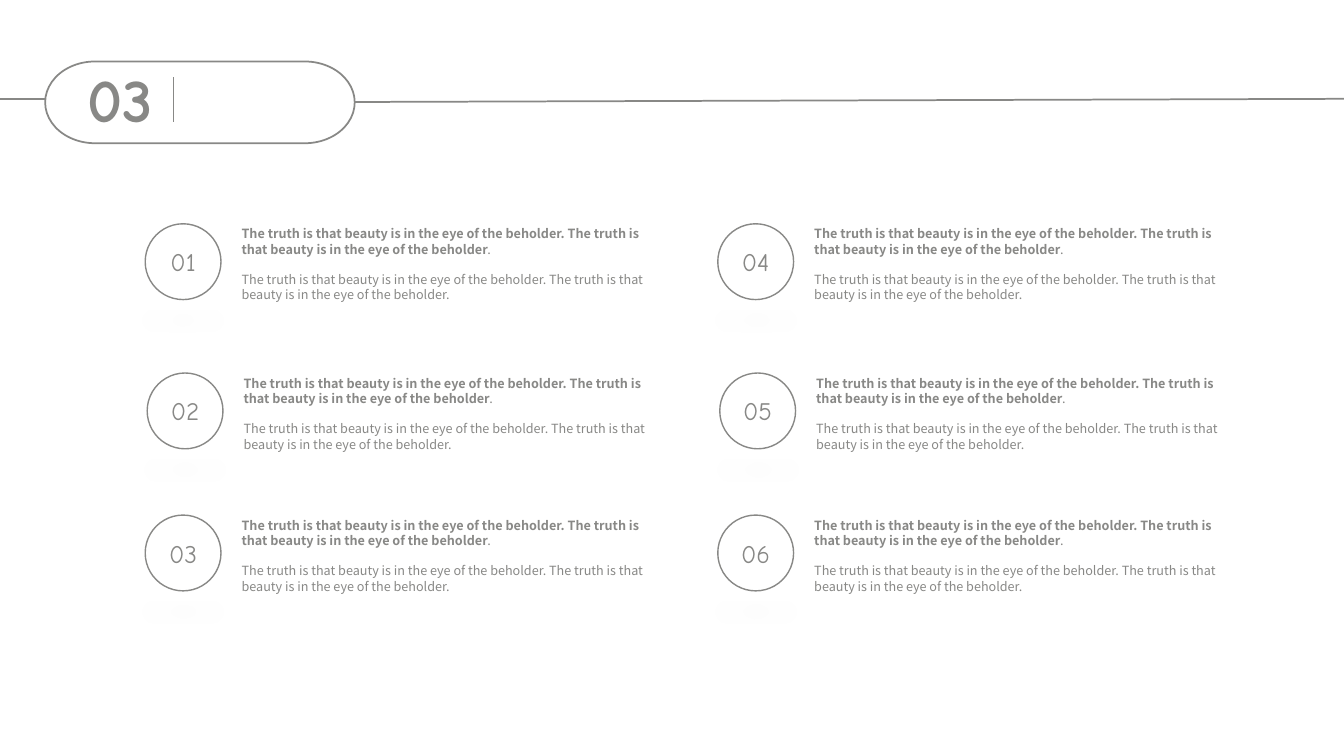
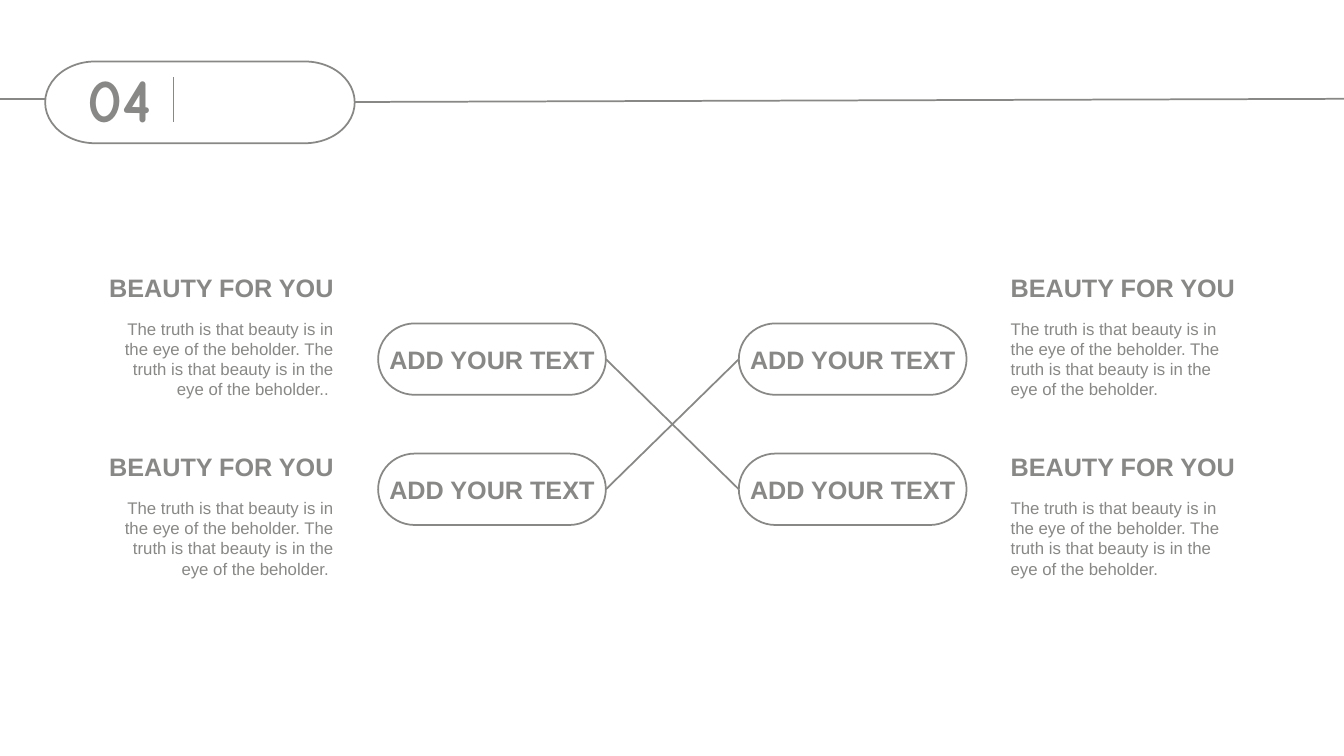
from dataclasses import dataclass

from lxml import etree
from pptx import Presentation
from pptx.dml.color import RGBColor
from pptx.enum.shapes import MSO_CONNECTOR, MSO_SHAPE
from pptx.enum.text import MSO_ANCHOR, MSO_AUTO_SIZE, PP_ALIGN
from pptx.oxml import parse_xml
from pptx.oxml.ns import nsdecls, qn
from pptx.util import Cm, Pt

STRAIGHT = MSO_CONNECTOR.STRAIGHT
PILL = MSO_SHAPE.FLOWCHART_TERMINATOR
CIRCLE = MSO_SHAPE.OVAL
LEFT, CENTER, RIGHT = PP_ALIGN.LEFT, PP_ALIGN.CENTER, PP_ALIGN.RIGHT
MIDDLE = MSO_ANCHOR.MIDDLE
GROW = MSO_AUTO_SIZE.SHAPE_TO_FIT_TEXT
LEFT_SITE, RIGHT_SITE = 1, 3

SENTENCE = "The truth is that beauty is in the eye of the beholder"
TWICE = f"{SENTENCE}. {SENTENCE}"


@dataclass(frozen=True)
class Theme:
    ink: RGBColor = RGBColor(0x88, 0x88, 0x86)
    paper: RGBColor = RGBColor(0xFF, 0xFF, 0xFF)
    rounded: str = "Comic Neue"
    plain: str = "Arial"
    humanist: str = "Noto Sans CJK SC"
    section: float = 44
    heading: float = 18
    body: float = 12
    small: float = 9
    gap: float = 11
    rule: float = 1.25
    thin: float = 1


class Deck:
    def __init__(self, theme):
        self.theme = theme
        self.prs = Presentation()
        self.prs.slide_width, self.prs.slide_height = Cm(33.87), Cm(19.05)
        self.slide = None

    def new_slide(self, number):
        self.slide = self.prs.slides.add_slide(self.prs.slide_layouts[6])
        background = self.slide.background.fill
        background.solid()
        background.fore_color.rgb = self.theme.paper
        self.line(8.94, 2.57, 33.87, 2.49)
        self.outline(PILL, 1.14, 1.55, 7.8, 2.06)
        self.line(0, 2.49, 1.14, 2.49)
        self.line(4.37, 3.07, 4.37, 1.93)
        frame = self.text_box(1.96, 1.42, 3, 2.13)
        self.run(frame.paragraphs[0], number, self.theme.rounded, self.theme.section, True)

    def line(self, x1, y1, x2, y2):
        rule = self.slide.shapes.add_connector(STRAIGHT, Cm(x1), Cm(y1), Cm(x2), Cm(y2))
        rule.line.color.rgb = self.theme.ink
        rule.line.width = Pt(self.theme.rule)
        etree.SubElement(rule._element.spPr, qn("a:effectLst"))
        return rule

    def link(self, start, end):
        rule = self.line(0, 0, 1, 1)
        rule.begin_connect(start, RIGHT_SITE)
        rule.end_connect(end, LEFT_SITE)

    def outline(self, kind, x, y, w, h, weight=None):
        shape = self.slide.shapes.add_shape(kind, Cm(x), Cm(y), Cm(w), Cm(h))
        shape.fill.background()
        shape.line.color.rgb = self.theme.ink
        shape.line.width = Pt(weight or self.theme.rule)
        shape.shadow.inherit = False
        return shape

    def label(self, shape, text, font, bold=False):
        frame = shape.text_frame
        frame.word_wrap = False
        frame.vertical_anchor = MIDDLE
        frame.paragraphs[0].alignment = CENTER
        self.run(frame.paragraphs[0], text, font, self.theme.heading, bold)

    def cast_shadow(self, shape):
        effects = shape._element.spPr.find(qn("a:effectLst"))
        effects.append(parse_xml(
            f'<a:outerShdw {nsdecls("a")} blurRad="152400" dist="127000" dir="5400000" '
            'sx="90000" sy="-19000" rotWithShape="0">'
            '<a:srgbClr val="000000"><a:alpha val="15000"/></a:srgbClr></a:outerShdw>'))

    def text_box(self, x, y, w, h, wrap=True, align=LEFT):
        frame = self.slide.shapes.add_textbox(Cm(x), Cm(y), Cm(w), Cm(h)).text_frame
        frame.word_wrap = wrap
        frame.auto_size = GROW
        frame.paragraphs[0].alignment = align
        return frame

    def run(self, paragraph, text, font, size, bold=False):
        run = paragraph.add_run()
        run.text = text
        run.font.name = font
        run.font.size = Pt(size)
        run.font.bold = bold
        run.font.color.rgb = self.theme.ink

    def numbered_item(self, number, x, y):
        theme = self.theme
        badge = self.outline(CIRCLE, x, y, 1.91, 1.91, theme.thin)
        self.cast_shadow(badge)
        self.label(badge, number, theme.rounded)
        frame = self.text_box(x + 2.18, y - 0.06, 10.62, 2.18)
        lead = frame.paragraphs[0]
        self.run(lead, TWICE, theme.humanist, theme.small, True)
        self.run(lead, ".", theme.humanist, theme.small)
        detail = frame.add_paragraph()
        detail.space_before = Pt(theme.gap)
        self.run(detail, f"{TWICE}.", theme.humanist, theme.small)

    def pill(self, text, x, y):
        shape = self.outline(PILL, x, y, 5.74, 1.8)
        self.label(shape, text, self.theme.plain, True)
        return shape

    def topic(self, heading, body, x, y, align):
        theme = self.theme
        title = self.text_box(x, y, 6.22, 1.02, False, align)
        self.run(title.paragraphs[0], heading, theme.plain, theme.heading, True)
        detail = self.text_box(x, y + 1.17, 6.22, 2.31, True, align)
        self.run(detail.paragraphs[0], body, theme.plain, theme.body)


def build_list(deck):
    deck.new_slide("03")
    rows = ((3.66, 5.64), (3.71, 9.4), (3.66, 12.98))
    for column in range(2):
        for row, (x, y) in enumerate(rows):
            deck.numbered_item(f"{column * 3 + row + 1:02}", x + column * 14.43, y)


def build_crossing(deck):
    deck.new_slide("04")
    (top_left, top_right), (low_left, low_right) = [
        [deck.pill("ADD YOUR TEXT", x, y) for x in (9.53, 18.62)] for y in (8.15, 11.43)]
    deck.link(top_left, low_right)
    deck.link(low_left, top_right)
    topics = (
        (2.44, 0, RIGHT, ".. "), (2.44, 1, RIGHT, ". "),
        (25.22, 0, LEFT, "."), (25.22, 1, LEFT, "."))
    for x, row, align, ending in topics:
        deck.topic("BEAUTY FOR YOU", TWICE + ending, x, 6.73 + row * 4.52, align)


def main():
    """Build the two slides and save them."""
    deck = Deck(Theme())
    build_list(deck)
    build_crossing(deck)
    deck.prs.save("out.pptx")


if __name__ == "__main__":
    main()
